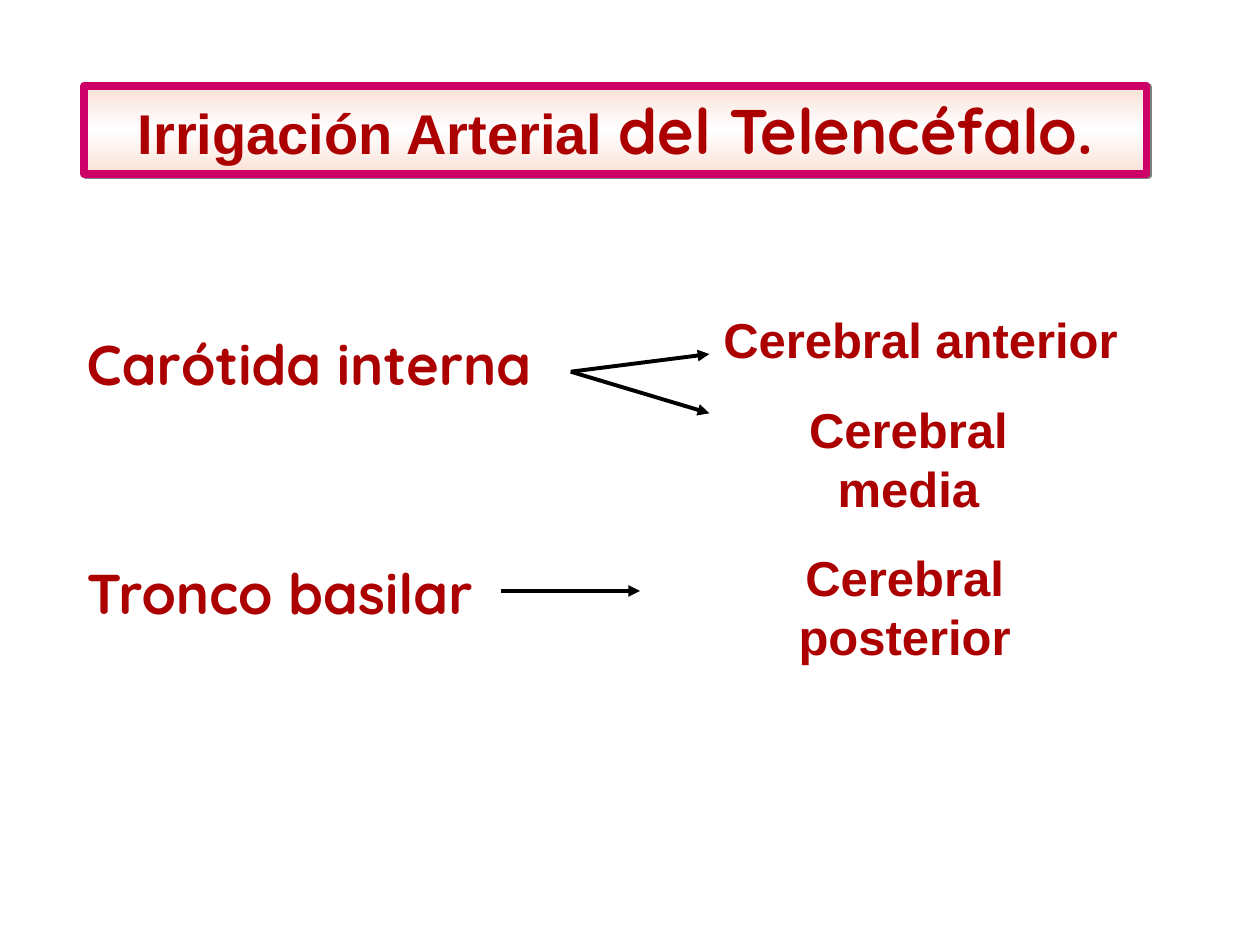
from copy import deepcopy
from dataclasses import dataclass

from pptx import Presentation, util as u
from pptx.dml.color import RGBColor
from pptx.enum import shapes, text
from pptx.oxml import parse_xml
from pptx.oxml.ns import nsdecls, qn


@dataclass(frozen=True)
class Theme:
    ink: RGBColor = RGBColor(0xAC, 0x00, 0x00)
    frame: RGBColor = RGBColor(0xCC, 0x00, 0x66)
    arrow: RGBColor = RGBColor(0x00, 0x00, 0x00)
    banner: tuple = ("FAE1D8", "FFFFFF", "FAE1D8")
    shadow: str = "808080"
    plain: str = "Arial"
    rounded: str = "Quicksand"
    title: int = 36
    source: int = 32
    branch: int = 28


@dataclass(frozen=True)
class Label:
    text: str
    left: float
    top: float
    width: float
    height: float
    is_source: bool = False


@dataclass(frozen=True)
class Arrow:
    x1: float
    y1: float
    x2: float
    y2: float


THEME = Theme()
LABELS = [
    Label("Carótida interna", 0.59, 2.57, 3.87, 0.64, True),
    Label("Tronco basilar", 0.59, 4.38, 3.36, 0.64, True),
    Label("Cerebral anterior", 5.64, 2.41, 3.33, 0.57),
    Label("Cerebral media", 5.71, 3.12, 3, 0.57),
    Label("Cerebral posterior", 5.4, 4.3, 3.56, 0.57),
]
CAROTID_ARROWS = [Arrow(4.53, 2.95, 5.63, 2.81), Arrow(4.53, 2.95, 5.63, 3.28)]
BASILAR_ARROW = Arrow(3.98, 4.69, 5.08, 4.69)


def shadow_effect():
    return parse_xml(
        f'<a:effectLst {nsdecls("a")}>'
        f'<a:outerShdw dist="{u.Pt(1.4)}" dir="2700000" algn="ctr" rotWithShape="0">'
        f'<a:srgbClr val="{THEME.shadow}"/></a:outerShdw></a:effectLst>')


def set_font(font, name: str, size: int) -> None:
    font.name, font.size, font.bold = name, u.Pt(size), True
    font.color.rgb = THEME.ink


def add_banner(slide) -> None:
    sp = slide.shapes.add_shape(shapes.MSO_SHAPE.RECTANGLE, u.Inches(0.67),
                                u.Inches(0.68), u.Inches(8.43), u.Inches(0.7))
    sp.line.color.rgb, sp.line.width = THEME.frame, u.Pt(4.5)

    # Three-stop vertical gradient
    sp.fill.gradient()
    sp.fill.gradient_angle = 270
    first = sp._element.spPr.find(".//" + qn("a:gs"))
    first.addnext(deepcopy(first))
    for stop, color, position in zip(sp.fill.gradient_stops, THEME.banner, (0, 0.5, 1)):
        stop.color.rgb = RGBColor.from_string(color)
        stop.position = position
    sp._element.spPr.append(shadow_effect())

    # Title in two typefaces
    tf = sp.text_frame
    tf.word_wrap = True
    p = tf.paragraphs[0]
    p.alignment = text.PP_ALIGN.CENTER
    for words, name, size in (("Irrigación Arterial ", THEME.plain, THEME.source),
                              ("del Telencéfalo.", THEME.rounded, THEME.title)):
        r = p.add_run()
        r.text = words
        set_font(r.font, name, size)


def add_label(slide, label: Label) -> None:
    box = slide.shapes.add_textbox(u.Inches(label.left), u.Inches(label.top),
                                   u.Inches(label.width), u.Inches(label.height))
    tf = box.text_frame
    tf.word_wrap = False
    tf.auto_size = text.MSO_AUTO_SIZE.SHAPE_TO_FIT_TEXT
    p = tf.paragraphs[0]
    r = p.add_run()
    r.text = label.text
    if label.is_source:
        p.alignment = text.PP_ALIGN.LEFT
        set_font(p.font, THEME.rounded, THEME.source)
        r._r.get_or_add_rPr().append(shadow_effect())
    else:
        p.alignment = text.PP_ALIGN.CENTER
        set_font(p.font, THEME.plain, THEME.branch)


def add_arrow(parent, arrow: Arrow) -> None:
    line = parent.add_connector(shapes.MSO_CONNECTOR.STRAIGHT,
                                u.Inches(arrow.x1), u.Inches(arrow.y1),
                                u.Inches(arrow.x2), u.Inches(arrow.y2))
    line.line.color.rgb, line.line.width = THEME.arrow, u.Pt(2.25)
    line.line._get_or_add_ln().append(
        parse_xml(f'<a:tailEnd {nsdecls("a")} type="triangle"/>'))
    line._element.spPr.append(parse_xml(f'<a:effectLst {nsdecls("a")}/>'))


def main() -> None:
    prs = Presentation()
    prs.slide_width, prs.slide_height = u.Inches(10), u.Inches(7.5)
    slide = prs.slides.add_slide(prs.slide_layouts[6])

    add_banner(slide)

    # Arrows from each source artery to its branches
    fork = slide.shapes.add_group_shape()
    for arrow in CAROTID_ARROWS:
        add_arrow(fork.shapes, arrow)
    add_arrow(slide.shapes, BASILAR_ARROW)

    # Artery names
    for label in LABELS:
        add_label(slide, label)

    prs.save("out.pptx")


if __name__ == "__main__":
    main()
